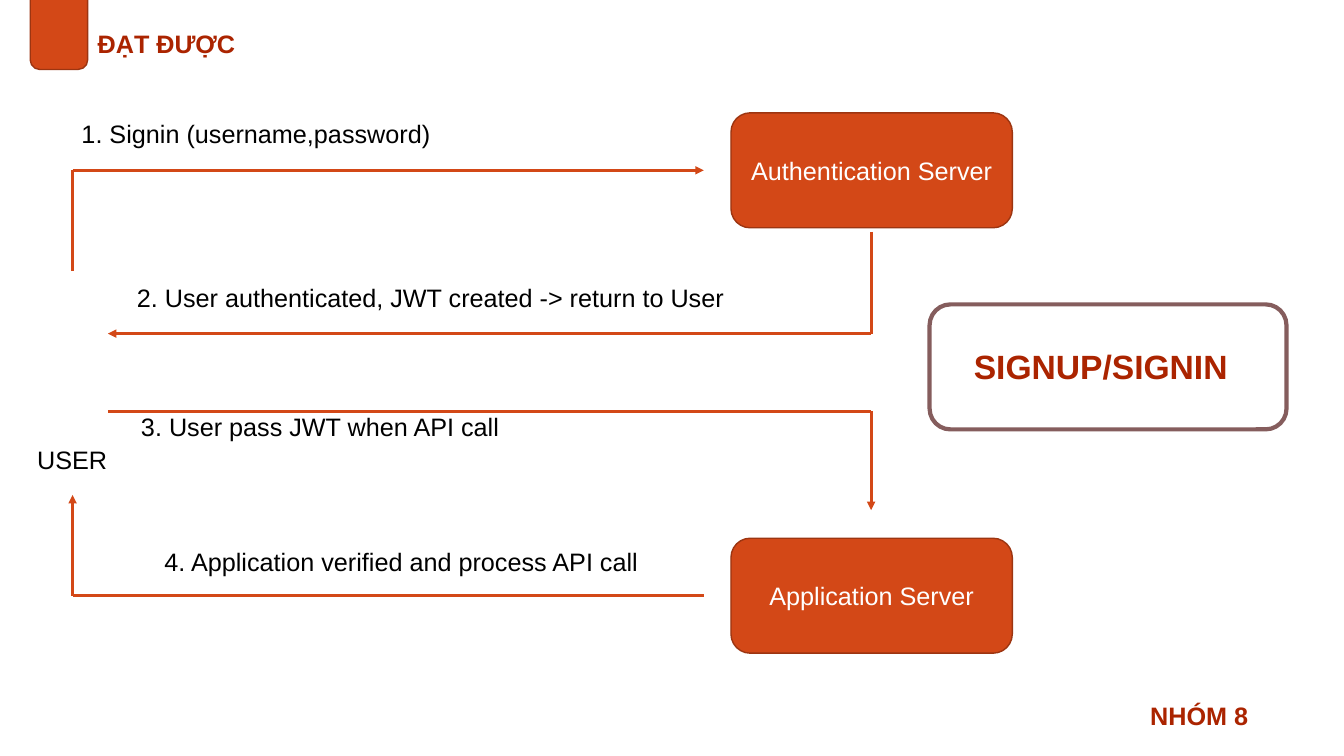
from lxml.etree import SubElement as Sub
from pptx import Presentation
from pptx.dml.color import RGBColor as RGB
from pptx.enum.shapes import MSO_CONNECTOR as Link, MSO_SHAPE as Kind
from pptx.enum.text import MSO_ANCHOR as Anchor, PP_ALIGN as Align
from pptx.oxml.ns import qn
from pptx.util import Inches, Pt

COLORS = {
    "main": "D34817", "edge": "9C3511", "title": "AB2400",
    "frame": "855D5D", "white": "FFFFFF", "black": "000000",
}


def color(name):
    return RGB.from_string(COLORS[name])


def write(frame, text, size=18, tint="black", bold=False, align=Align.LEFT):
    frame.word_wrap = True
    para = frame.paragraphs[0]
    para.alignment = align
    run = para.add_run()
    run.text = text
    font = run.font
    font.name, font.size, font.bold = "Arial", Pt(size), bold
    font.color.rgb = color(tint)


class Board:
    def __init__(self, slide):
        self.shapes = slide.shapes

    def text(self, text, x, y, w, h=0.4, **form):
        box = self.shapes.add_textbox(*map(Inches, (x, y, w, h)))
        write(box.text_frame, text, **form)

    def box(self, x, y, w, h, text="", fill="main", edge="edge", width=1):
        box = self.shapes.add_shape(Kind.ROUNDED_RECTANGLE,
                                    *map(Inches, (x, y, w, h)))
        box.shadow.inherit = False
        box.fill.solid()
        box.fill.fore_color.rgb = color(fill)
        box.line.color.rgb = color(edge)
        box.line.width = Pt(width)
        if text:
            box.text_frame.vertical_anchor = Anchor.MIDDLE
            write(box.text_frame, text, tint="white", align=Align.CENTER)

    def line(self, start, end, arrow=False):
        line = self.shapes.add_connector(Link.STRAIGHT,
                                         *map(Inches, start + end))
        line.line.color.rgb = color("main")
        line.line.width = Pt(2)
        if arrow:
            Sub(line.line._get_or_add_ln(), qn("a:tailEnd"), type="triangle")
        Sub(line._element.spPr, qn("a:effectLst"))

    def route(self, start, bend, end):
        """Two straight legs with an arrowhead at the end."""
        self.line(start, bend)
        self.line(bend, end, arrow=True)


def main():
    deck = Presentation()
    deck.slide_width, deck.slide_height = Inches(13.33), Inches(7.5)
    board = Board(deck.slides.add_slide(deck.slide_layouts[6]))

    # Heading and footer
    board.text("NHÓM 8", 11.31, 6.9, 1.23, tint="title", bold=True)
    board.text("ĐẠT ĐƯỢC", 0.87, 0.23, 1.82, tint="title", bold=True)
    board.box(0.3, -0.24, 0.57, 0.93)

    # User and servers
    board.text("USER", 0.02, 4.36, 1.39, 0.55, align=Align.CENTER)
    for name, y in (("Authentication Server", 1.12),
                    ("Application Server", 5.34)):
        board.box(7.25, y, 2.79, 1.14, name)

    # Routes between the user and the servers
    user, near, gate, server = 0.72, 1.07, 6.98, 8.64
    board.route((user, 2.69), (user, 1.69), (gate, 1.69))
    board.route((server, 2.3), (server, 3.31), (near, 3.31))
    board.route((near, 4.08), (server, 4.08), (server, 5.06))
    board.route((gate, 5.91), (user, 5.91), (user, 4.91))

    # Steps
    board.text("1. Signin (username,password)", 0.71, 1.12, 5.29)
    board.text("2. User authenticated, JWT created -> return to User",
               1.26, 2.75, 7.38)
    board.text("3. User pass JWT when API call", 1.3, 4.03, 5.29)
    board.text("4. Application verified and process API call",
               0.85, 5.37, 6.26, align=Align.CENTER)

    # Topic label
    board.box(9.22, 3.02, 3.54, 1.24, fill="white", edge="frame", width=3)
    board.text("SIGNUP/SIGNIN", 9.56, 3.38, 2.92, 0.5,
               size=24, tint="title", bold=True)

    deck.save("out.pptx")


if __name__ == "__main__":
    main()
